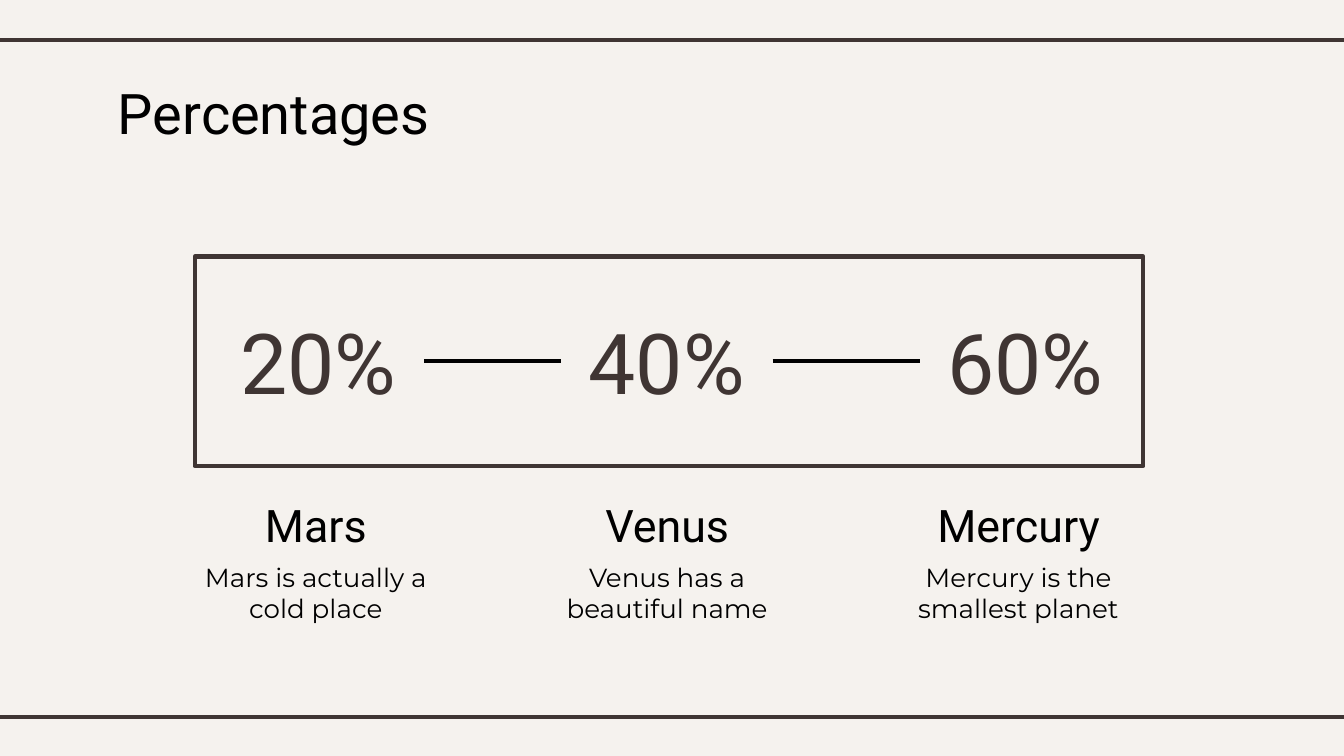
from lxml.etree import SubElement
from pptx import Presentation
from pptx.dml.color import RGBColor
from pptx.enum.shapes import MSO_CONNECTOR, MSO_SHAPE
from pptx.enum.text import MSO_ANCHOR, MSO_AUTO_SIZE, PP_ALIGN
from pptx.oxml.ns import qn
from pptx.util import Cm, Pt

COLORS = {"background": "F5F2EE", "brown": "3F3533", "black": "000000"}
LINE_WIDTH = Pt(2.25)


def write_text(shape, text, size, font="Roboto", color="black",
               align=PP_ALIGN.CENTER, anchor=MSO_ANCHOR.MIDDLE):
    frame = shape.text_frame
    frame.word_wrap = True
    frame.auto_size = MSO_AUTO_SIZE.NONE
    frame.vertical_anchor = anchor
    frame.margin_left = frame.margin_right = Cm(0.25)
    frame.margin_top = frame.margin_bottom = Cm(0.25)
    paragraph = frame.paragraphs[0]
    paragraph.text = text
    paragraph.alignment = align
    paragraph.font.size = Pt(size)
    paragraph.font.name = font
    paragraph.font.color.rgb = RGBColor.from_string(COLORS[color])


def add_line(left, right, y, color):
    line = slide.shapes.add_connector(MSO_CONNECTOR.STRAIGHT, left, y, right, y)
    line.line.color.rgb = RGBColor.from_string(COLORS[color])
    line.line.width = LINE_WIDTH
    SubElement(line._element.spPr, qn("a:effectLst"))
    return line


presentation = Presentation()
presentation.slide_width = Cm(25.4)
presentation.slide_height = Cm(14.29)
slide = presentation.slides.add_slide(presentation.slide_layouts[5])
slide.background.fill.solid()
slide.background.fill.fore_color.rgb = RGBColor.from_string(COLORS["background"])

# Rules across the top and bottom
for y in (0.76, 13.55):
    add_line(Cm(-0.2), Cm(25.6), Cm(y), "brown")

# Title
title = slide.shapes.title
title.left, title.top, title.width, title.height = Cm(1.98), Cm(1.24), Cm(8.86), Cm(1.6)
write_text(title, "Percentages", 30, align=PP_ALIGN.LEFT, anchor=MSO_ANCHOR.TOP)

# Frame around the percentages
frame_box = slide.shapes.add_shape(MSO_SHAPE.RECTANGLE, Cm(3.68), Cm(4.85), Cm(17.93), Cm(3.96))
frame_box.shadow.inherit = False
frame_box.fill.background()
frame_box.line.color.rgb = RGBColor.from_string(COLORS["brown"])
frame_box.line.width = LINE_WIDTH

# One column per planet: percentage, name, description
planets = [
    ("20%", 6.02, "Mars", "Mars is actually a cold place"),
    ("40%", 12.6, "Venus", "Venus has a beautiful name"),
    ("60%", 19.38, "Mercury", "Mercury is the smallest planet"),
]
percent_boxes = []
for index, (percent, percent_center, name, description) in enumerate(planets):
    center = 5.97 + index * 6.64
    percent_box = slide.shapes.add_textbox(Cm(percent_center - 2), Cm(5.65), Cm(4), Cm(2.36))
    write_text(percent_box, percent, 45, color="brown")
    percent_boxes.append(percent_box)

    name_box = slide.shapes.add_textbox(Cm(center - 2.29), Cm(9.42), Cm(4.58), Cm(1))
    write_text(name_box, name, 24)

    description_box = slide.shapes.add_textbox(Cm(center - 2.57), Cm(10.36), Cm(5.14), Cm(1.6))
    write_text(description_box, description, 14, font="Montserrat", anchor=MSO_ANCHOR.TOP)

# Links between neighbouring percentages
for before, after in zip(percent_boxes, percent_boxes[1:]):
    link = add_line(before.left + before.width, after.left, Cm(6.83), "black")
    link.begin_connect(before, 3)
    link.end_connect(after, 1)

presentation.save("out.pptx")
